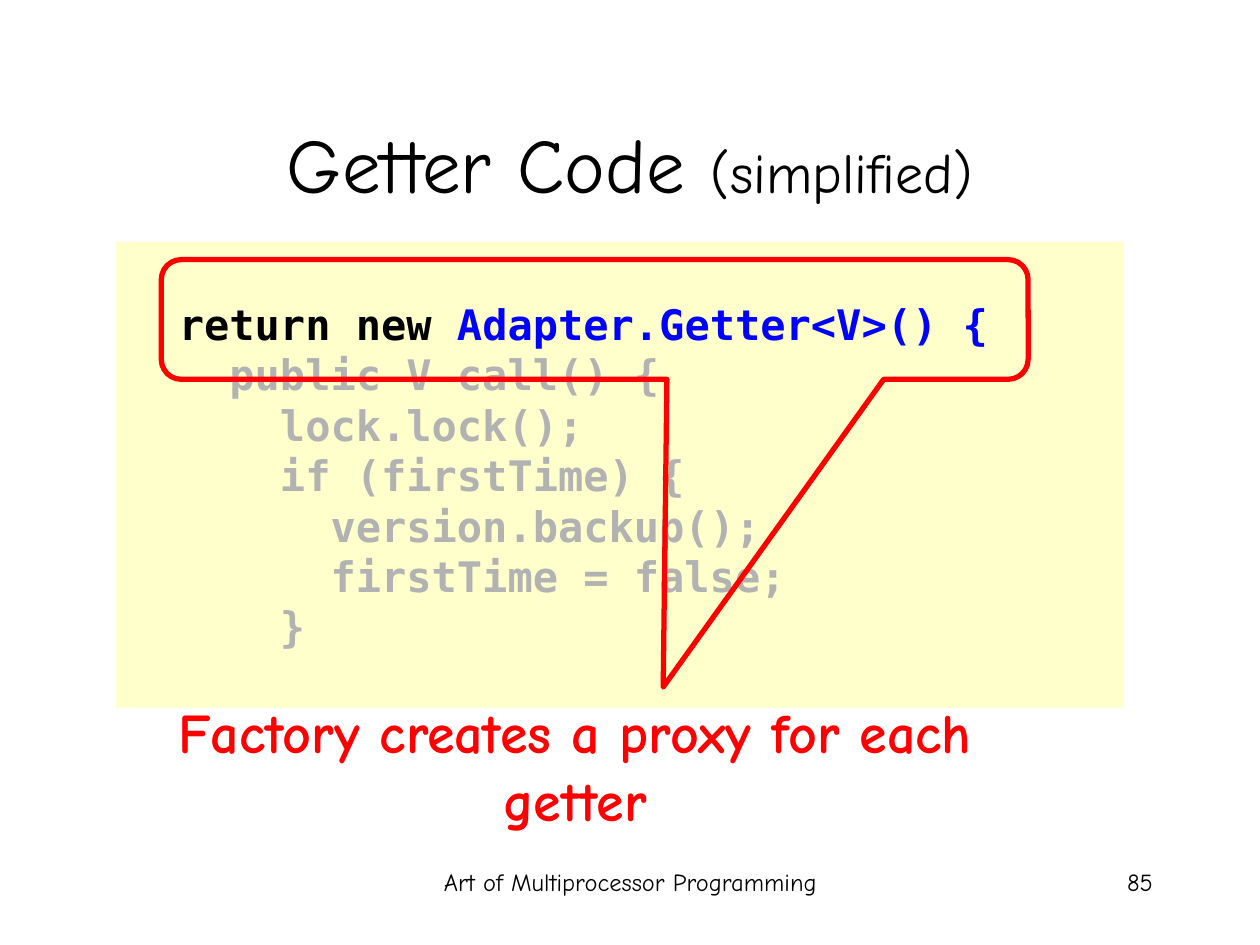
import pptx
import pptx.util
from pptx.dml.color import RGBColor
from pptx.enum.shapes import MSO_SHAPE
from pptx.enum.text import MSO_ANCHOR, PP_ALIGN

WIDTH, HEIGHT = 10, 7.5
COLORS = {"panel": "FFFFCC", "black": "000000", "type": "0000FF",
          "dimmed": "B2B2B2", "accent": "FF0000"}
TEXT_FONT, CODE_FONT = "Comic Neue", "DejaVu Sans Mono"
CODE_SIZE, CODE_PITCH = 24, 28.8

CODE_LINES = [
    [("  return new", "black"), (" Adapter.Getter<V>() {", "type")],
    [("    public V call() {", "dimmed")],
    [("      lock.lock();", "dimmed")],
    [("      if (firstTime) {", "dimmed")],
    [("        version.backup();", "dimmed")],
    [("        firstTime = false;", "dimmed")],
    [("      }", "dimmed")],
]


def share(box, left, top, width, height):
    """Return the part of a box given by shares of its size."""
    x, y, w, h = box
    return x + left * w, y + top * h, width * w, height * h


def inches(box):
    return [pptx.util.Inches(value) for value in box]


def color(name):
    return RGBColor.from_string(COLORS[name])


def add_run(paragraph, text, font, size, color_name, bold=False):
    run = paragraph.add_run()
    run.text = text
    run.font.name = font
    run.font.size = pptx.util.Pt(size)
    run.font.bold = bold
    run.font.color.rgb = color(color_name)


def add_label(slide, box, parts, align, color_name="black", bold=False,
              anchor=MSO_ANCHOR.TOP):
    """Place one paragraph made of (text, size) parts."""
    text_frame = slide.shapes.add_textbox(*inches(box)).text_frame
    text_frame.word_wrap = True
    text_frame.vertical_anchor = anchor
    paragraph = text_frame.paragraphs[0]
    paragraph.alignment = align
    for text, size in parts:
        add_run(paragraph, text, TEXT_FONT, size, color_name, bold)


def add_title(slide, box):
    add_label(slide, box, [("Getter Code ", 44), ("(simplified)", 32)],
              PP_ALIGN.CENTER, anchor=MSO_ANCHOR.MIDDLE)


def add_code_panel(slide, box):
    # Yellow panel with the code starting one line down
    panel = slide.shapes.add_shape(MSO_SHAPE.RECTANGLE, *inches(box))
    panel.shadow.inherit = False
    panel.fill.solid()
    panel.fill.fore_color.rgb = color("panel")
    panel.line.fill.background()
    text_frame = panel.text_frame
    text_frame.word_wrap = True
    text_frame.vertical_anchor = MSO_ANCHOR.TOP
    text_frame.margin_top = pptx.util.Inches(0.05) + pptx.util.Pt(CODE_PITCH)
    for index, line in enumerate(CODE_LINES):
        paragraph = text_frame.add_paragraph() if index else text_frame.paragraphs[0]
        paragraph.alignment = PP_ALIGN.LEFT
        paragraph.line_spacing = pptx.util.Pt(CODE_PITCH)
        for text, color_name in line:
            add_run(paragraph, text, CODE_FONT, CODE_SIZE, color_name, bold=True)

    # Callout around the first code line, pointing at the caption
    callout = slide.shapes.add_shape(MSO_SHAPE.ROUNDED_RECTANGULAR_CALLOUT,
                                     *inches(share(box, 0.045, 0.038, 0.86, 0.257)))
    for index, value in enumerate((0.079, 3.07, 0.167)):
        callout.adjustments[index] = value
    callout.shadow.inherit = False
    callout.fill.background()
    callout.line.color.rgb = color("accent")
    callout.line.width = pptx.util.Pt(3)


def add_caption(slide, box):
    add_label(slide, box, [("Factory creates a proxy for each getter", 32)],
              PP_ALIGN.CENTER, "accent", bold=True)


def add_footer(slide, box):
    add_label(slide, share(box, 0.314, 0, 0.373, 1),
              [("Art of Multiprocessor Programming", 14)], PP_ALIGN.CENTER)
    add_label(slide, share(box, 0.755, 0, 0.245, 1), [("85", 14)], PP_ALIGN.RIGHT)


def main():
    presentation = pptx.Presentation()
    presentation.slide_width = pptx.util.Inches(WIDTH)
    presentation.slide_height = pptx.util.Inches(HEIGHT)
    slide = presentation.slides.add_slide(presentation.slide_layouts[6])
    page = (0, 0, WIDTH, HEIGHT)

    add_code_panel(slide, share(page, 0.092, 0.256, 0.8, 0.493))
    add_title(slide, share(page, 0.075, 0.089, 0.85, 0.167))
    add_caption(slide, share(page, 0.087, 0.732, 0.739, 0.156))
    add_footer(slide, share(page, 0.075, 0.911, 0.85, 0.067))
    presentation.save("out.pptx")


if __name__ == "__main__":
    main()
